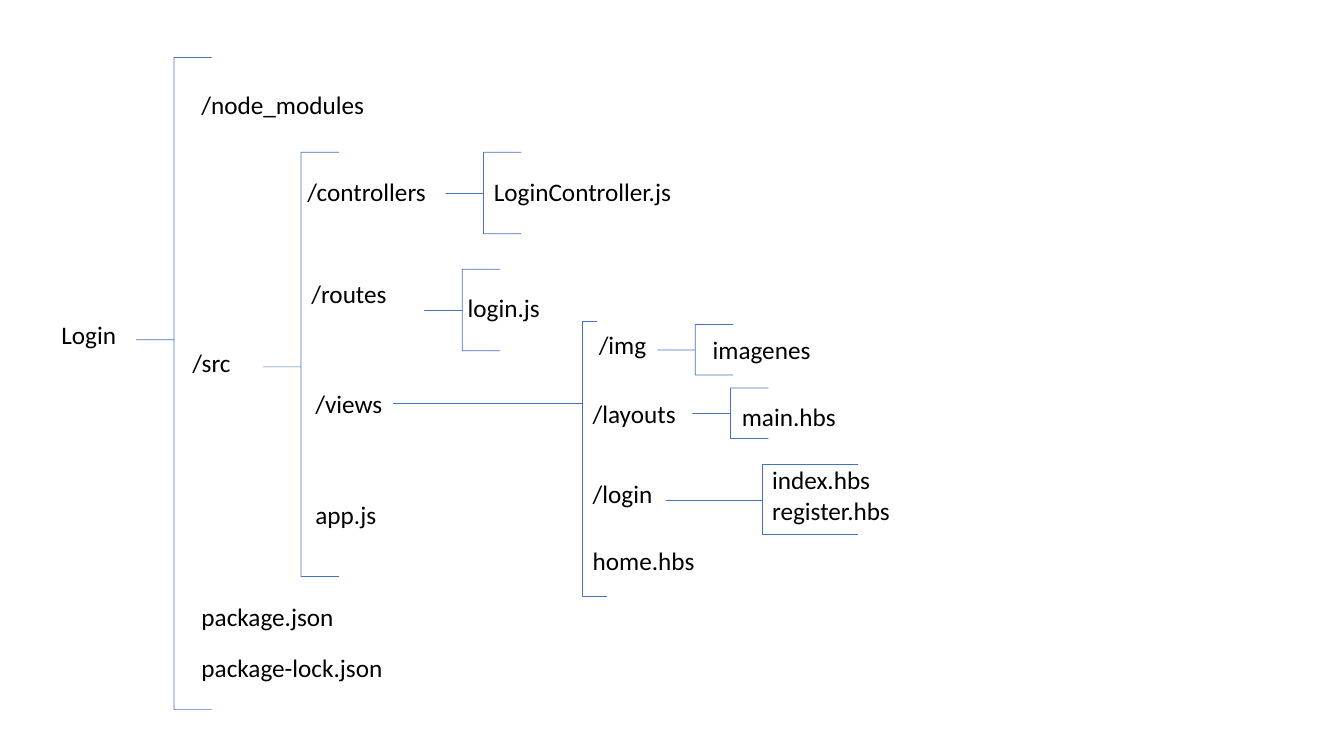
from dataclasses import dataclass

from lxml.etree import SubElement
from pptx import Presentation
from pptx.dml.color import RGBColor
from pptx.enum.shapes import MSO_CONNECTOR as Connector, MSO_SHAPE as Shape
from pptx.enum.text import MSO_AUTO_SIZE as AutoSize
from pptx.oxml.ns import qn
from pptx.util import Inches, Pt


@dataclass(frozen=True)
class Theme:
    font: str = "Calibri"
    text_size: int = 18
    line_width: float = 0.5
    text: RGBColor = RGBColor(0, 0, 0)
    line: RGBColor = RGBColor(0x44, 0x72, 0xC4)


THEME = Theme()
LABEL_HEIGHT = 0.4
BRACE_WIDTH = 0.75
MIDDLE = 0.506
VIEWS_START = (3.9, 4)
VIEWS_SPINE = 5.78
VIEWS_ENDS = [(6.02, 5.92), (5.92, 3.19)]

LABELS = [
    ("Login", 0.51, 3.12, 0.75),
    ("/node_modules", 1.9, 0.84, 1.84),
    ("/src", 1.81, 3.4, 0.58),
    ("package.json", 1.9, 5.92, 1.52),
    ("package-lock.json", 1.9, 6.42, 2.01),
    ("/controllers", 2.95, 1.7, 1.39),
    ("/routes", 2.99, 2.71, 0.96),
    ("/views", 3.03, 3.8, 0.87),
    ("app.js", 3.03, 4.9, 0.81),
    ("LoginController.js", 4.8, 1.7, 1.98),
    ("login.js", 4.54, 2.85, 0.92),
    ("/img", 5.84, 3.22, 0.68),
    ("/layouts", 5.78, 3.9, 1.03),
    ("/login", 5.78, 4.7, 0.8),
    ("home.hbs", 5.78, 5.36, 1.22),
    ("imagenes", 6.97, 3.27, 1.18),
    ("main.hbs", 7.26, 3.93, 1.14),
    ("index.hbs\nregister.hbs", 7.56, 4.56, 1.38),
]

BRACES = {
    "Login": (1.35, 0.57, BRACE_WIDTH, 6.47, 0.433),
    "/src": (2.61, 1.51, BRACE_WIDTH, 4.21, MIDDLE),
    "/controllers": (4.42, 1.51, BRACE_WIDTH, 0.81, MIDDLE),
    "/routes": (4.21, 2.67, BRACE_WIDTH, 0.81, MIDDLE),
    "/img": (6.52, 3.22, BRACE_WIDTH, 0.5, MIDDLE),
    "/layouts": (6.87, 3.85, BRACE_WIDTH, 0.5, MIDDLE),
    "/login": (6.61, 4.61, 1.9, 0.69, MIDDLE),
}


def apply_format(target, values):
    for name, value in values.items():
        setattr(target, name, value)


def format_line(line):
    line.color.rgb = THEME.line
    line.width = Pt(THEME.line_width)


def add_label(slide, text, left, top, width):
    lines = text.split("\n")
    height = LABEL_HEIGHT + 0.31 * (len(lines) - 1)
    box = slide.shapes.add_textbox(*map(Inches, (left, top, width, height)))
    frame = box.text_frame
    frame.text = text
    apply_format(frame, {"word_wrap": False, "auto_size": AutoSize.SHAPE_TO_FIT_TEXT})
    for paragraph in frame.paragraphs:
        apply_format(paragraph.font, {"name": THEME.font, "size": Pt(THEME.text_size)})
        paragraph.font.color.rgb = THEME.text


def add_brace(slide, left, top, width, height, point):
    brace = slide.shapes.add_shape(
        Shape.LEFT_BRACE, *map(Inches, (left, top, width, height)))
    brace.adjustments[0] = 0
    brace.adjustments[1] = point
    brace.shadow.inherit = False
    brace.fill.background()
    format_line(brace.line)


def add_elbow(slide, start, end, bend):
    elbow = slide.shapes.add_connector(
        Connector.ELBOW, *map(Inches, (*start, *end)))
    format_line(elbow.line)
    properties = elbow.element.spPr
    SubElement(properties, qn("a:effectLst"))
    ratio = round((bend - start[0]) / (end[0] - start[0]) * 100000)
    guides = properties.find(".//" + qn("a:avLst"))
    SubElement(guides, qn("a:gd"), name="adj1", fmla=f"val {ratio}")


def main():
    presentation = Presentation()
    presentation.slide_width = Inches(13.33)
    presentation.slide_height = Inches(7.5)
    slide = presentation.slides.add_slide(presentation.slide_layouts[6])
    for brace in BRACES.values():
        add_brace(slide, *brace)
    for end in VIEWS_ENDS:
        add_elbow(slide, VIEWS_START, end, VIEWS_SPINE)
    for label in LABELS:
        add_label(slide, *label)
    presentation.save("out.pptx")


main()
